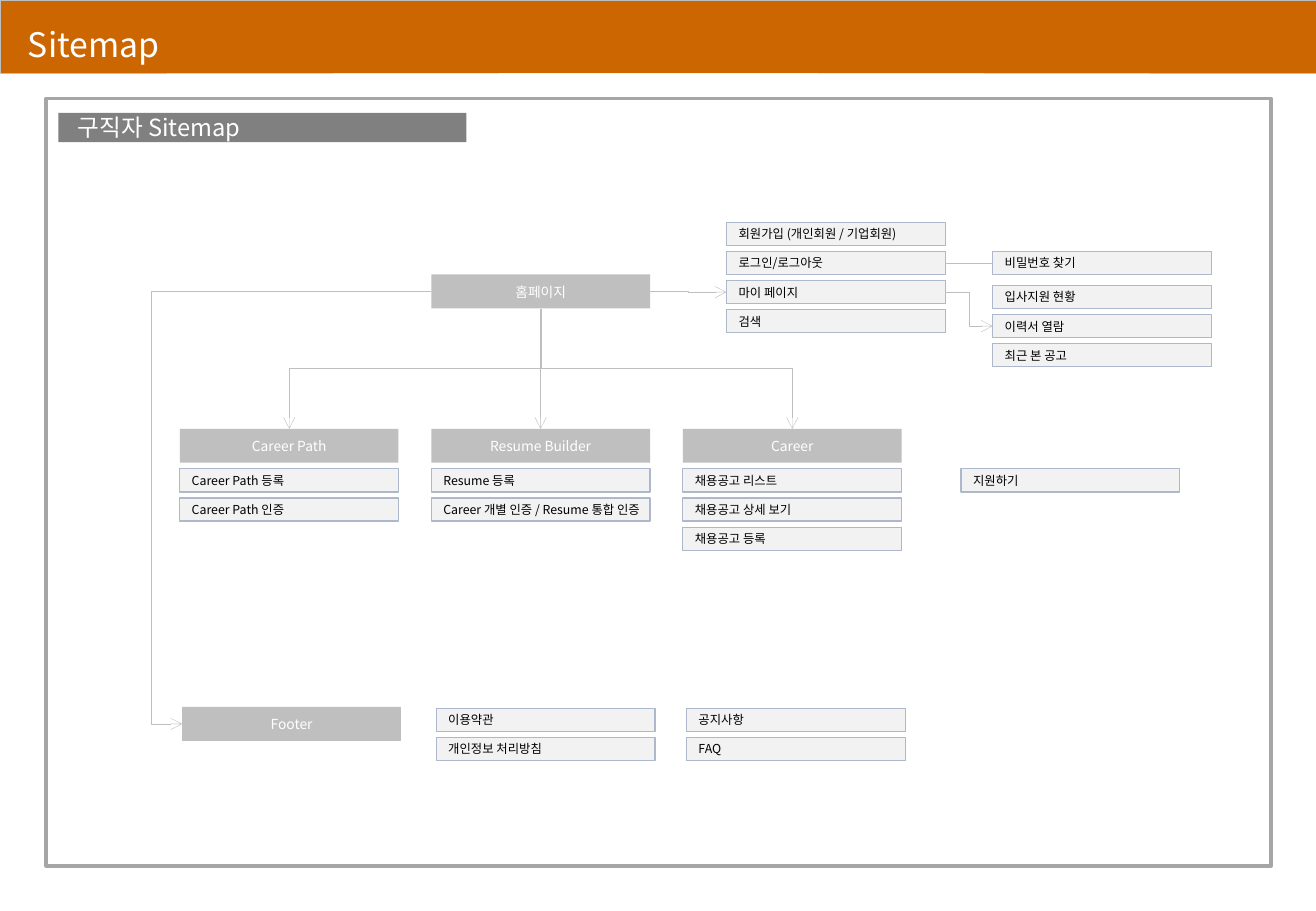
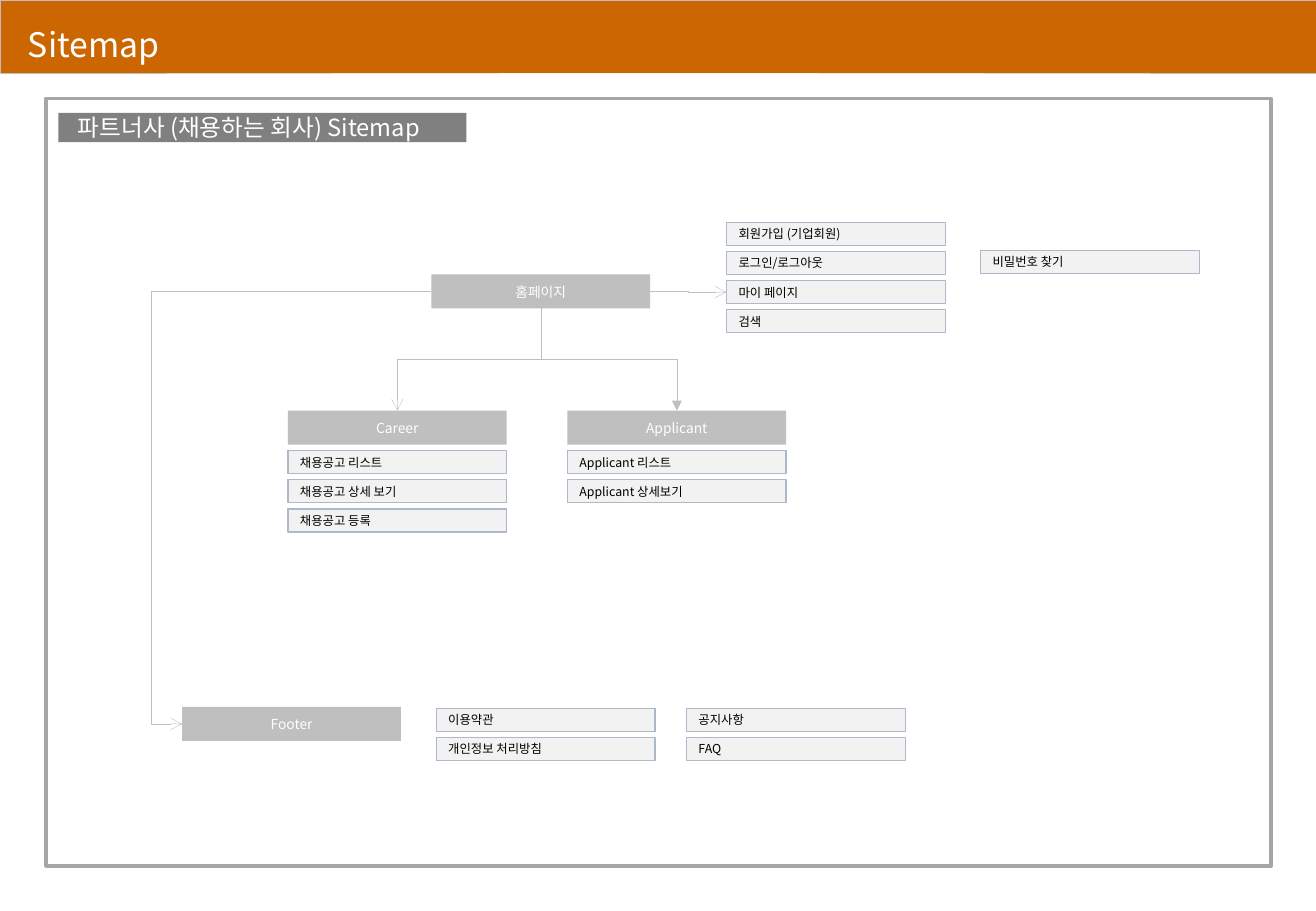
from lxml.etree import Element, SubElement
from pptx import Presentation
from pptx.dml.color import RGBColor
from pptx.enum.shapes import MSO_CONNECTOR as LINK, MSO_SHAPE as SHAPE
from pptx.enum.text import MSO_ANCHOR as ANCHOR, PP_ALIGN as ALIGN
from pptx.oxml.ns import qn
from pptx.util import Inches, Pt

FONT = "Noto Sans CJK KR"
ORANGE = RGBColor(0xCC, 0x66, 0x00)
WHITE = RGBColor(0xFF, 0xFF, 0xFF)
BLACK = RGBColor(0x00, 0x00, 0x00)
PALE = RGBColor(0xF2, 0xF2, 0xF2)
BLUE = RGBColor(0xAD, 0xB9, 0xCA)
SILVER = RGBColor(0xBF, 0xBF, 0xBF)
GRAY = RGBColor(0xA6, 0xA6, 0xA6)
DARK = RGBColor(0x80, 0x80, 0x80)

WIDE, HIGH = 10.83, 7.5
BOX, HEAD, ROW, STEP = 1.8, 0.28, 0.19, 0.24
TOP, LEFT, BASE, RIGHT = range(4)

STYLES = {
    "band": (ORANGE, SILVER, 0.25, 20, WHITE, ALIGN.LEFT, 0),
    "frame": (None, GRAY, 2, 20, BLACK, ALIGN.LEFT, 0),
    "title": (None, None, 0, 20, WHITE, ALIGN.LEFT, 0),
    "tab": (DARK, None, 0, 14, WHITE, ALIGN.LEFT, 0.16),
    "head": (SILVER, None, 0, 8.2, WHITE, ALIGN.CENTER, 0.1),
    "item": (PALE, BLUE, 0.75, 7.3, BLACK, ALIGN.LEFT, 0.1),
}


def draw(slide, style, x, y, w, h, text=""):
    fill, edge, weight, size, ink, align, inset = STYLES[style]
    place = [Inches(n) for n in (x, y, w, h)]
    if style == "title":
        shape = slide.shapes.add_textbox(*place)
    else:
        shape = slide.shapes.add_shape(SHAPE.RECTANGLE, *place)
        shape.shadow.inherit = False
    if fill is None:
        shape.fill.background()
    else:
        shape.fill.solid()
        shape.fill.fore_color.rgb = fill
    if edge is None:
        shape.line.fill.background()
    else:
        shape.line.color.rgb = edge
        shape.line.width = Pt(weight)
    if text:
        frame = shape.text_frame
        frame.text = text
        frame.word_wrap = style != "item"
        frame.vertical_anchor = ANCHOR.MIDDLE
        frame.margin_left = Inches(inset)
        if style in ("title", "tab"):
            frame.margin_right = frame.margin_top = frame.margin_bottom = 0
        para = frame.paragraphs[0]
        para.alignment = align
        if style == "title":
            para.line_spacing = 0.9
        para.font.name = FONT
        para.font.size = Pt(size)
        para.font.color.rgb = ink
        for latin in list(shape.element.iter(qn("a:latin"))):
            latin.addnext(Element(qn("a:ea"), typeface=FONT))
    return shape


def join(slide, start, out, end, into, tip="arrow", bend=None, kind=LINK.ELBOW):
    line = slide.shapes.add_connector(kind, 0, 0, 0, 0)
    line.begin_connect(start, out)
    line.end_connect(end, into)
    line.line.color.rgb = SILVER
    line.line.width = Pt(0.25)
    props = line.element.spPr
    if out == BASE:
        x, y = line.begin_x, line.begin_y
        run, drop = line.end_x - x, line.end_y - y
        line.left = x + (run - drop) // 2
        line.top = y + (drop - abs(run)) // 2
        line.width, line.height = drop, abs(run)
        turn = props.find(qn("a:xfrm"))
        turn.set("rot", str((90 if run < 0 else 270) * 60000))
        turn.set("flipH", "0" if run < 0 else "1")
        turn.set("flipV", "0")
    if bend:
        guides = props.find(qn("a:prstGeom")).find(qn("a:avLst"))
        SubElement(guides, qn("a:gd"), name="adj1", fmla=f"val {bend}")
    if tip:
        SubElement(props.find(qn("a:ln")), qn("a:tailEnd"), type=tip)
    SubElement(props, qn("a:effectLst"))


JOBS = ["채용공고 리스트", "채용공고 상세 보기", "채용공고 등록"]
PAGES = [
    {
        "tab": "구직자 Sitemap",
        "join": "회원가입 (개인회원 / 기업회원)",
        "find": (8.17, 2.07),
        "top": 3.53,
        "menus": [
            (1.48, "Career Path", ["Career Path 등록", "Career Path 인증"], "arrow"),
            (3.55, "Resume Builder",
             ["Resume 등록", "Career 개별 인증 / Resume 통합 인증"], "arrow"),
            (5.62, "Career", JOBS, "arrow"),
        ],
        "mine": ["입사지원 현황", "이력서 열람", "최근 본 공고"],
        "apply": "지원하기",
    },
    {
        "tab": "파트너사 (채용하는 회사) Sitemap",
        "join": "회원가입 (기업회원)",
        "find": (8.07, 2.06),
        "top": 3.38,
        "menus": [
            (2.37, "Career", JOBS, "arrow"),
            (4.67, "Applicant", ["Applicant 리스트", "Applicant 상세보기"], "triangle"),
        ],
        "mine": [],
        "apply": "",
    },
]
LEGAL = [(3.59, ["이용약관", "개인정보 처리방침"]), (5.65, ["공지사항", "FAQ"])]

deck = Presentation()
deck.slide_width, deck.slide_height = Inches(WIDE), Inches(HIGH)

for page in PAGES:
    slide = deck.slides.add_slide(deck.slide_layouts[6])
    draw(slide, "band", 0, 0, WIDE, 0.6)
    draw(slide, "title", 0.23, 0.23, 10.37, 0.3, "Sitemap")
    draw(slide, "frame", 0.38, 0.81, 10.08, 6.32)
    draw(slide, "tab", 0.48, 0.93, 3.36, 0.24, page["tab"])

    home = draw(slide, "head", 3.55, 2.26, BOX, HEAD, "홈페이지")
    foot = draw(slide, "head", 1.5, 5.82, BOX, HEAD, "Footer")
    join(slide, home, LEFT, foot, LEFT, bend=112300)

    names = [page["join"], "로그인/로그아웃", "마이 페이지", "검색"]
    user = [draw(slide, "item", 5.98, 1.83 + i * STEP, BOX, ROW, name)
            for i, name in enumerate(names)]
    join(slide, home, RIGHT, user[2], LEFT)
    find = draw(slide, "item", *page["find"], BOX, ROW, "비밀번호 찾기")

    mine = [draw(slide, "item", 8.17, 2.35 + i * STEP, BOX, ROW, name)
            for i, name in enumerate(page["mine"])]
    if mine:
        join(slide, user[1], RIGHT, find, LEFT, tip=None, kind=LINK.STRAIGHT)
        join(slide, user[2], RIGHT, mine[1], LEFT)

    top = page["top"]
    for x, name, items, tip in page["menus"]:
        menu = draw(slide, "head", x, top, BOX, HEAD, name)
        join(slide, home, BASE, menu, TOP, tip)
        for i, item in enumerate(items):
            draw(slide, "item", x, top + 0.33 + i * STEP, BOX, ROW, item)
    if page["apply"]:
        draw(slide, "item", 7.91, top + 0.33, BOX, ROW, page["apply"])

    for x, items in LEGAL:
        for i, item in enumerate(items):
            draw(slide, "item", x, 5.83 + i * STEP, BOX, ROW, item)

deck.save("out.pptx")
